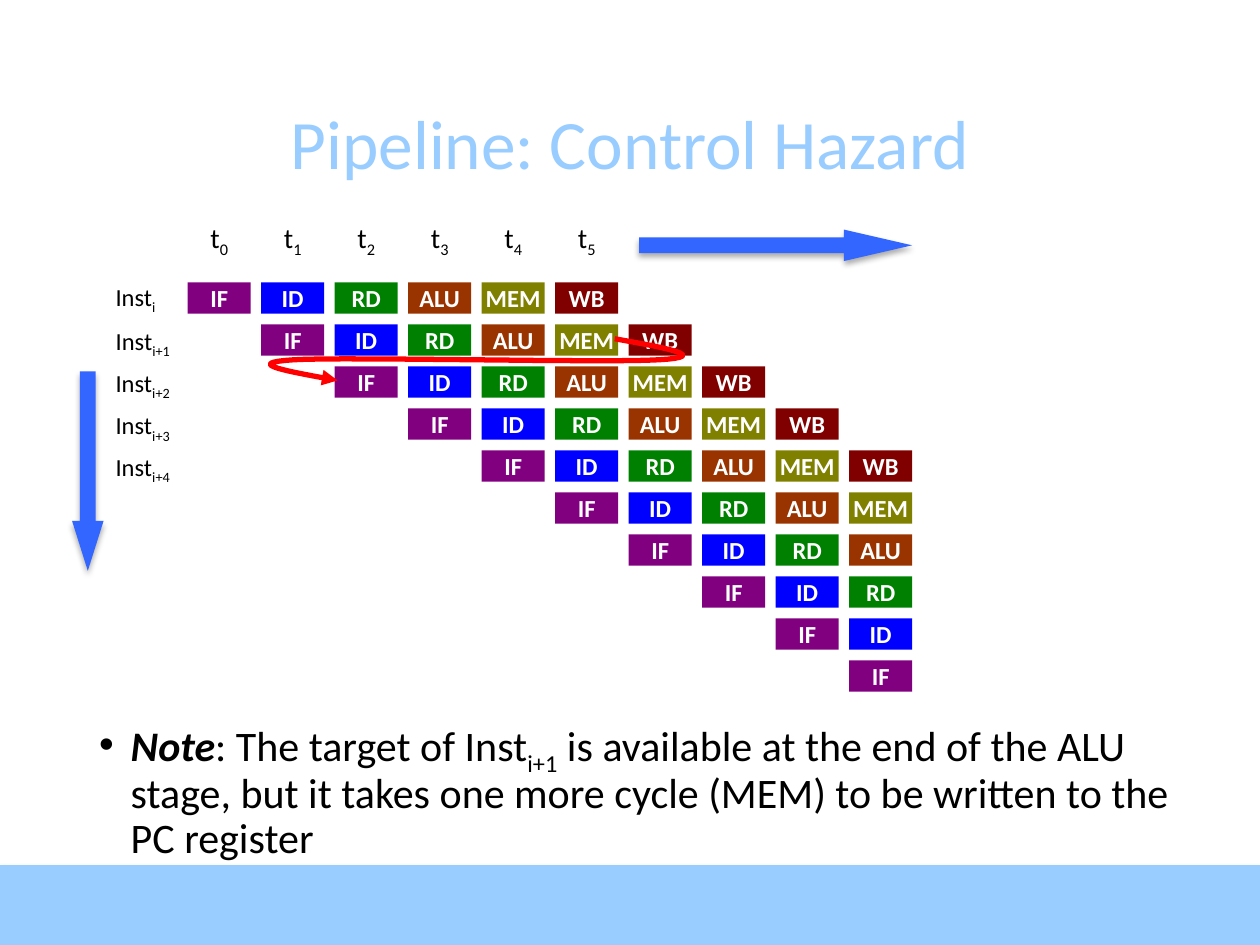
from lxml.etree import SubElement as Sub
from pptx import Presentation
from pptx.dml.color import RGBColor as RGB
from pptx.enum.shapes import MSO_SHAPE as SHAPE
from pptx.enum.text import MSO_ANCHOR as ANCHOR, MSO_AUTO_SIZE as FIT, PP_ALIGN as ALIGN
from pptx.oxml.ns import qn
from pptx.util import Pt

FONT = "Calibri"
SKY = RGB(0x99, 0xCC, 0xFF)
BLUE = RGB(0x33, 0x66, 0xFF)
RED = RGB(0xFF, 0, 0)
BLACK = RGB(0, 0, 0)
WHITE = RGB(0xFF, 0xFF, 0xFF)

# Content
TITLE = "Pipeline: Control Hazard"
STAGES = [
    ("IF", RGB(0x80, 0, 0x80)),
    ("ID", RGB(0, 0, 0xFF)),
    ("RD", RGB(0, 0x80, 0)),
    ("ALU", RGB(0x99, 0x33, 0)),
    ("MEM", RGB(0x80, 0x80, 0)),
    ("WB", RGB(0x80, 0, 0)),
]
TIMES = ["0", "1", "2", "3", "4", "5"]
# Instruction subscript, label width, label top
INSTS = [("i", 39, 161.3), ("i+1", 60, 186.5), ("i+2", 66, 210.5),
         ("i+3", 66, 234.5), ("i+4", 72, 258.5)]
NOTE = [
    ("Note", "strong"),
    (": The target of Inst", ""),
    ("i+1", "sub"),
    (" is available at the end of the ALU stage, but it takes one more "
     "cycle (MEM) to be written to the PC register", ""),
]
# Feedback path: start, then control, control, end for each curve
START = (351.3, 193.6)
CURVES = [
    ((379.5, 198.6), (407.5, 203.8), (376.8, 205.6)),
    ((346.2, 207.5), (198.6, 203.8), (168, 205.6)),
    ((137.2, 207.5), (165, 212.4), (193, 217.4)),
]

# Grid: one column a cycle, one row an instruction
COUNT = 10
LEFT, TOP = 107.3, 161.3
STEP_X, STEP_Y = 42, 24
CELL_W, CELL_H = 36, 18

deck = Presentation()
deck.slide_width, deck.slide_height = Pt(720), Pt(540)
slide = deck.slides.add_slide(deck.slide_layouts[1])
shapes = slide.shapes


def place(shape, x, y, w, h):
    shape.left, shape.top, shape.width, shape.height = map(Pt, (x, y, w, h))


def write(para, runs, size, color=BLACK, bold=False):
    for text, style in runs:
        run = para.add_run()
        run.text = text
        font = run.font
        font.name, font.size = FONT, Pt(size)
        font.color.rgb = color
        font.bold = bold or style == "strong"
        font.italic = style == "strong"
        if style == "sub":
            run._r.get_or_add_rPr().set("baseline", "-25000")


def label(x, y, w, h, runs, size, align, pad):
    box = shapes.add_textbox(Pt(x), Pt(y), Pt(w), Pt(h))
    frame = box.text_frame
    frame.word_wrap = False
    frame.margin_top = frame.margin_bottom = Pt(pad)
    para = frame.paragraphs[0]
    para.alignment = align
    write(para, runs, size)


def block(kind, x, y, w, h, color):
    shape = shapes.add_shape(kind, Pt(x), Pt(y), Pt(w), Pt(h))
    shape.shadow.inherit = False
    shape.fill.solid()
    shape.fill.fore_color.rgb = color
    shape.line.fill.background()
    return shape


def shade(shape, alpha, blur, dist):
    effects = shape._element.spPr.find(qn("a:effectLst"))
    drop = Sub(effects, qn("a:outerShdw"), blurRad=str(Pt(blur)),
               dist=str(Pt(dist)), dir="5400000", rotWithShape="0")
    tint = Sub(drop, qn("a:srgbClr"), val="000000")
    Sub(tint, qn("a:alpha"), val=str(alpha * 1000))


def bezier(a, b, c, d, t):
    s = 1 - t
    return tuple(Pt(s**3 * p + 3 * s * s * t * q + 3 * s * t * t * r + t**3 * e)
                 for p, q, r, e in zip(a, b, c, d))


# Footer band
shade(block(SHAPE.RECTANGLE, 0, 494.4, 720, 45.6, SKY), 35, 3.1, 1.8)

# Title
title = shapes.title
place(title, 49.5, 53.5, 621, 55.5)
title.text_frame.auto_size = FIT.NONE
title.text_frame.vertical_anchor = ANCHOR.MIDDLE
head = title.text_frame.paragraphs[0]
head.alignment = ALIGN.CENTER
write(head, [(TITLE, "")], 39.6, SKY)

# Cycle labels and time arrow
for col, time in enumerate(TIMES):
    label(LEFT + col * STEP_X, 122.4, CELL_W, 26.6,
          [("t", ""), (time, "sub")], 16, ALIGN.CENTER, 3.6)
across = block(SHAPE.RIGHT_ARROW, 365.2, 131.2, 156, 18, BLUE)
across.adjustments[1] = 2.167
shade(across, 32, 3.5, 2.2)

# Instruction labels
for sub, width, top in INSTS:
    label(59, top, width, 17.3, [("Inst", ""), (sub, "sub")], 14, ALIGN.LEFT, 0)

# Pipeline stages, cut off at the last cycle
for row in range(COUNT):
    for step, (name, color) in enumerate(STAGES[:COUNT - row]):
        cell = block(SHAPE.RECTANGLE, LEFT + (row + step) * STEP_X,
                     TOP + row * STEP_Y, CELL_W, CELL_H, color)
        frame = cell.text_frame
        frame.word_wrap = False
        frame.vertical_anchor = ANCHOR.MIDDLE
        para = frame.paragraphs[0]
        para.alignment = ALIGN.CENTER
        write(para, [(name, "")], 14, WHITE, True)

# Feedback curve from MEM to the next fetch
points, last = [], START
for one, two, end in CURVES:
    points += [bezier(last, one, two, end, k / 16) for k in range(1, 17)]
    last = end
pen = shapes.build_freeform(*map(Pt, START))
pen.add_line_segments(points, close=False)
curve = pen.convert_to_shape()
curve.shadow.inherit = False
curve.fill.background()
curve.line.color.rgb = RED
curve.line.width = Pt(3)
Sub(curve.line._get_or_add_ln(), qn("a:tailEnd"), type="triangle")

# Program order arrow
down = block(SHAPE.DOWN_ARROW, 41.2, 212.2, 18, 114, BLUE)
down.adjustments[1] = 1.583
shade(down, 32, 3.5, 2.2)

# Note
body = slide.placeholders[1]
place(body, 49.5, 408.2, 640, 81.4)
body.text_frame.auto_size = FIT.NONE
para = body.text_frame.paragraphs[0]
props = para._p.get_or_add_pPr()
props.set("marL", str(Pt(18)))
props.set("indent", str(Pt(-18)))
Sub(props, qn("a:buChar"), char="•")
para.line_spacing = 0.9
para.space_before = Pt(0)
write(para, NOTE, 24)

deck.save("out.pptx")
